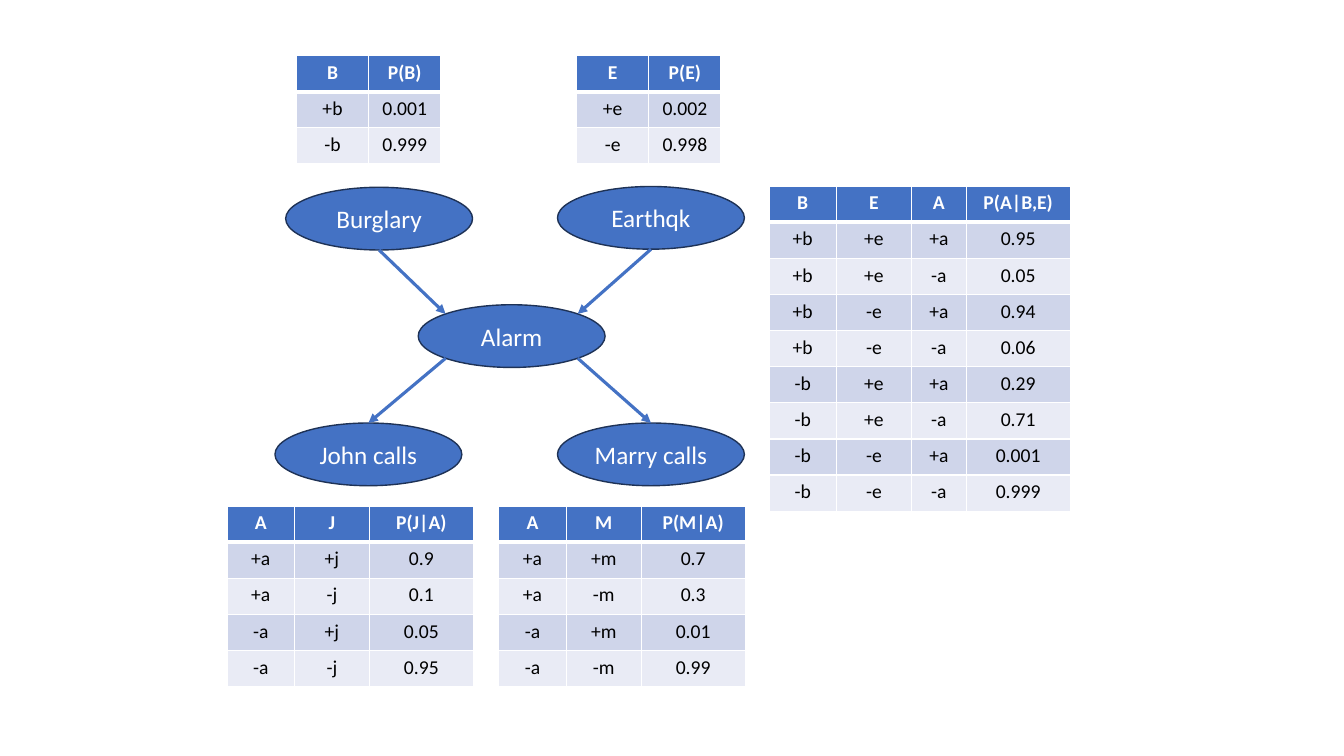
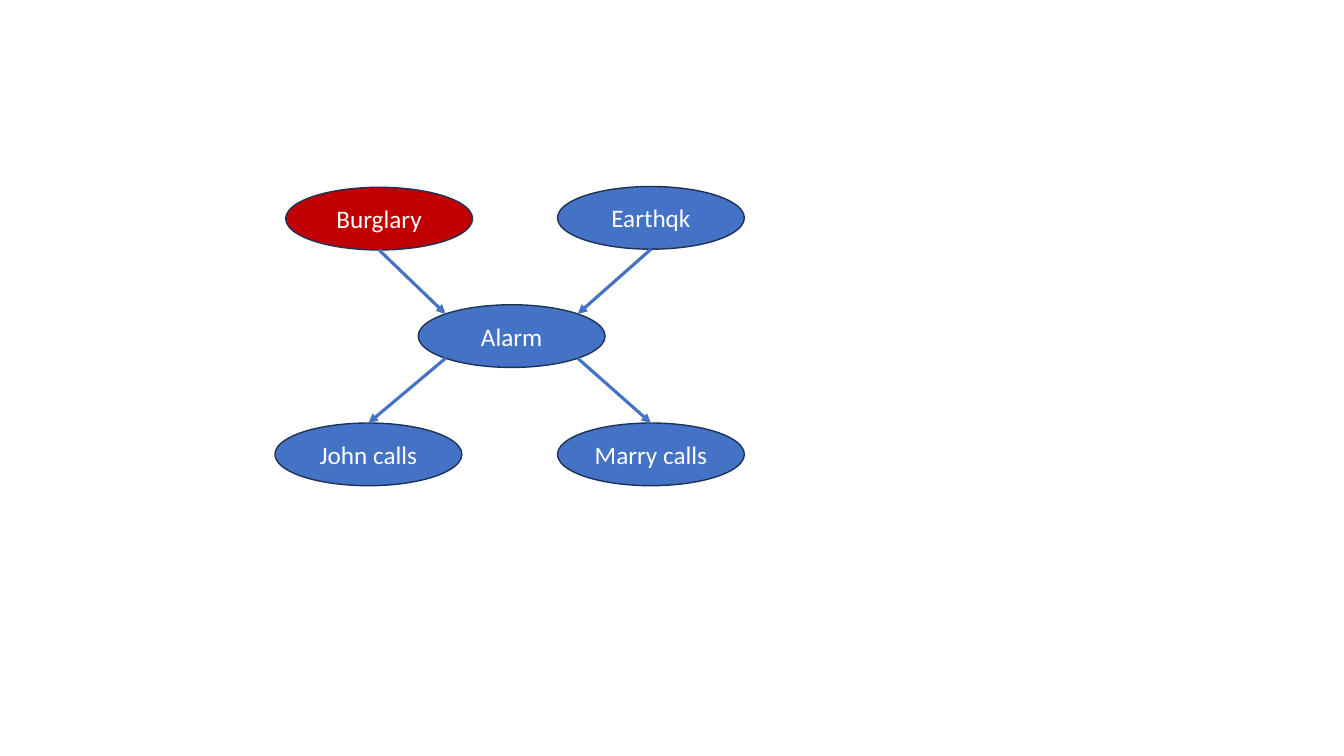
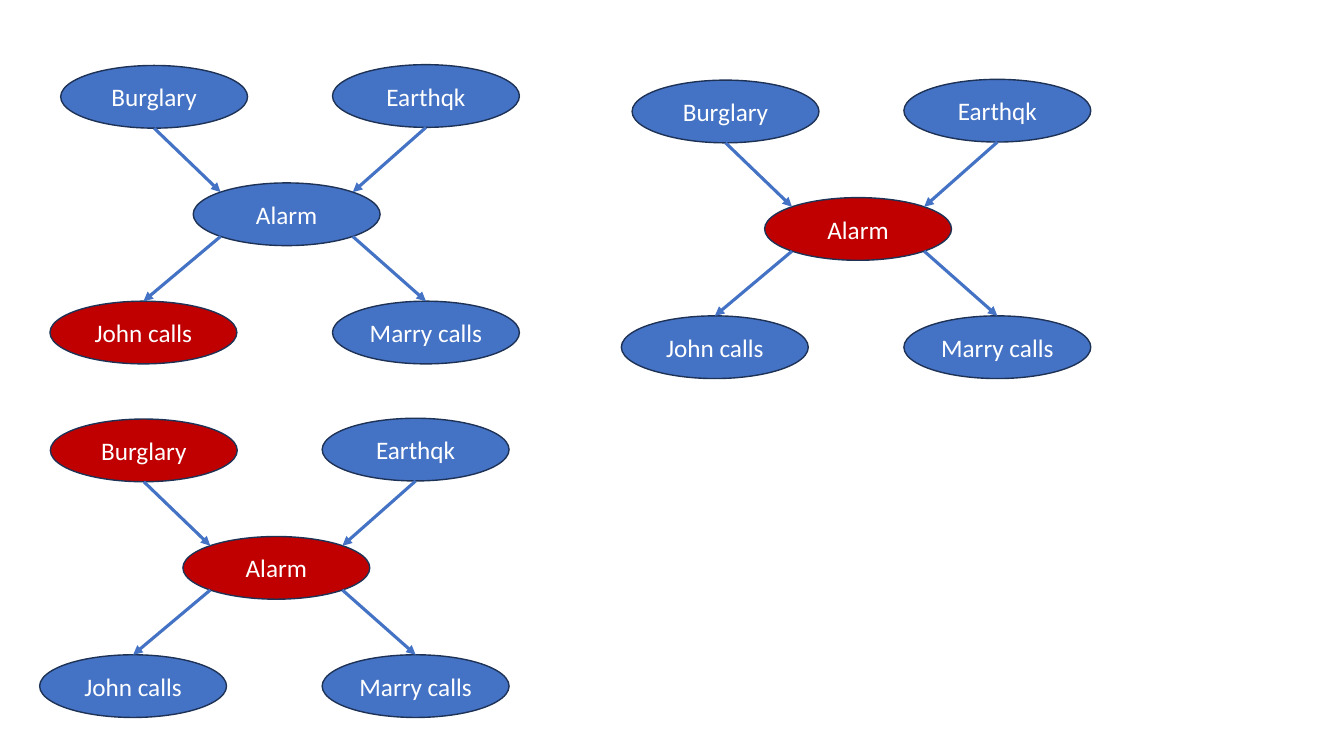
from math import sqrt

from lxml.etree import SubElement
from pptx import Presentation
from pptx.dml.color import RGBColor
from pptx.enum.shapes import MSO_CONNECTOR, MSO_SHAPE
from pptx.enum.text import MSO_ANCHOR, PP_ALIGN
from pptx.oxml import parse_xml
from pptx.oxml.ns import nsdecls, qn
from pptx.util import Cm, Pt

COLORS = {
    "blue": "4472C4",
    "red": "C00000",
    "outline": "1E3256",
    "white": "FFFFFF",
    "black": "000000",
    "band_dark": "CFD5EA",
    "band_light": "E9EBF5",
}
FONT = "Calibri"

# Network layout in cm, measured from the network's top left corner
NODE_WIDTH, NODE_HEIGHT = 4.71, 1.58
LEVEL = 2.98
NODES = {
    "Burglary": (0.27, 0.02),
    "Earthqk": (7.12, 0),
    "Alarm": (3.61, LEVEL),
    "John calls": (0, 2 * LEVEL),
    "Marry calls": (7.12, 2 * LEVEL),
}
# Horizontal and vertical direction of the point where each arrow meets the alarm
CAUSES = {"Burglary": (-1, -1), "Earthqk": (1, -1)}
EFFECTS = {"John calls": (-1, 1), "Marry calls": (1, 1)}

# Probability tables: left, top, column widths in cm, rows
ROW_HEIGHT = 0.91
PRIOR_WIDTHS = [1.82, 1.82]
CALL_WIDTHS = [1.7, 1.89, 2.62]
ALARM_WIDTHS = [1.7, 1.89, 1.38, 2.62]
TABLES = [
    (7.47, 1.4, PRIOR_WIDTHS, ["B P(B)", "+b 0.001", "-b 0.999"]),
    (14.53, 1.4, PRIOR_WIDTHS, ["E P(E)", "+e 0.002", "-e 0.998"]),
    (19.38, 4.69, ALARM_WIDTHS, [
        "B E A P(A|B,E)",
        "+b +e +a 0.95", "+b +e -a 0.05", "+b -e +a 0.94", "+b -e -a 0.06",
        "-b +e +a 0.29", "-b +e -a 0.71", "-b -e +a 0.001", "-b -e -a 0.999",
    ]),
    (5.72, 12.75, CALL_WIDTHS, [
        "A J P(J|A)", "+a +j 0.9", "+a -j 0.1", "-a +j 0.05", "-a -j 0.95",
    ]),
    (12.57, 12.75, CALL_WIDTHS, [
        "A M P(M|A)", "+a +m 0.7", "+a -m 0.3", "-a +m 0.01", "-a -m 0.99",
    ]),
]


def color(name):
    return RGBColor.from_string(COLORS[name])


def write_text(frame, text, size=18, ink="white", bold=False, align=PP_ALIGN.CENTER):
    para = frame.paragraphs[0]
    para.alignment = align
    span = para.add_run()
    span.text = text
    span.font.name = FONT
    span.font.size = Pt(size)
    span.font.bold = bold
    span.font.color.rgb = color(ink)


def add_node(shapes, label, left, top, fill):
    node = shapes.add_shape(MSO_SHAPE.OVAL, Cm(left), Cm(top),
                            Cm(NODE_WIDTH), Cm(NODE_HEIGHT))
    node.shadow.inherit = False
    node.fill.solid()
    node.fill.fore_color.rgb = color(fill)
    node.line.color.rgb = color("outline")
    node.line.width = Pt(1)
    node.text_frame.vertical_anchor = MSO_ANCHOR.MIDDLE
    write_text(node.text_frame, label)
    return node


def rim_point(node, across, down):
    """Point on the ellipse in the given direction from its centre."""
    reach = 2 * sqrt(across ** 2 + down ** 2)
    return (int(node.left + node.width * (0.5 + across / reach)),
            int(node.top + node.height * (0.5 + down / reach)))


def add_arrow(shapes, start, end):
    arrow = shapes.add_connector(MSO_CONNECTOR.STRAIGHT, *start, *end)
    arrow.line.color.rgb = color("blue")
    arrow.line.width = Pt(2.25)
    SubElement(arrow.line._get_or_add_ln(), qn("a:tailEnd"), type="triangle")
    SubElement(arrow._element.spPr, qn("a:effectLst"))
    return arrow


def add_network(shapes, left, top, observed=()):
    nodes = {
        label: add_node(shapes, label, left + across, top + down,
                        "red" if label in observed else "blue")
        for label, (across, down) in NODES.items()
    }
    alarm = nodes["Alarm"]
    for label, side in CAUSES.items():
        add_arrow(shapes, rim_point(nodes[label], 0, 1), rim_point(alarm, *side))
    for label, side in EFFECTS.items():
        arrow = add_arrow(shapes, rim_point(alarm, *side),
                          rim_point(nodes[label], 0, -1))
        arrow.end_connect(nodes[label], 0)


def set_borders(cell, **widths):
    properties = cell._tc.get_or_add_tcPr()
    for position, side in enumerate("LRTB"):
        width = Pt(widths.get(side, 1))
        properties.insert(position, parse_xml(
            f'<a:ln{side} {nsdecls("a")} w="{width}"><a:solidFill>'
            f'<a:srgbClr val="{COLORS["white"]}"/></a:solidFill></a:ln{side}>'))


def add_probability_table(shapes, left, top, widths, rows):
    table = shapes.add_table(len(rows), len(widths), Cm(left), Cm(top),
                             Cm(sum(widths)), Cm(ROW_HEIGHT * len(rows))).table
    for column, width in zip(table.columns, widths):
        column.width = Cm(width)
    for index, row in enumerate(rows):
        table.rows[index].height = Cm(ROW_HEIGHT)
        header = index == 0
        band = "blue" if header else ("band_light", "band_dark")[index % 2]
        for cell, text in zip(table.rows[index].cells, row.split()):
            cell.fill.solid()
            cell.fill.fore_color.rgb = color(band)
            set_borders(cell, B=3 if header else 1, T=3 if index == 1 else 1)
            write_text(cell.text_frame, text, size=14, bold=header,
                       ink="white" if header else "black")


def main():
    deck = Presentation()
    deck.slide_width, deck.slide_height = Cm(33.87), Cm(19.05)
    tables_page, burglary_page, cases_page = (
        deck.slides.add_slide(deck.slide_layouts[6]) for _ in range(3))

    # Network with its probability tables
    add_network(tables_page.shapes, 6.93, 4.7)
    for table in TABLES:
        add_probability_table(tables_page.shapes, *table)

    # Network with the burglary observed
    add_network(burglary_page.shapes.add_group_shape().shapes, 6.93, 4.7, ["Burglary"])

    # Three networks with different observations
    for left, top, observed in [
        (1.26, 1.63, ["John calls"]),
        (15.66, 2, ["Alarm"]),
        (1, 10.54, ["Burglary", "Alarm"]),
    ]:
        add_network(cases_page.shapes.add_group_shape().shapes, left, top, observed)

    deck.save("out.pptx")


if __name__ == "__main__":
    main()
